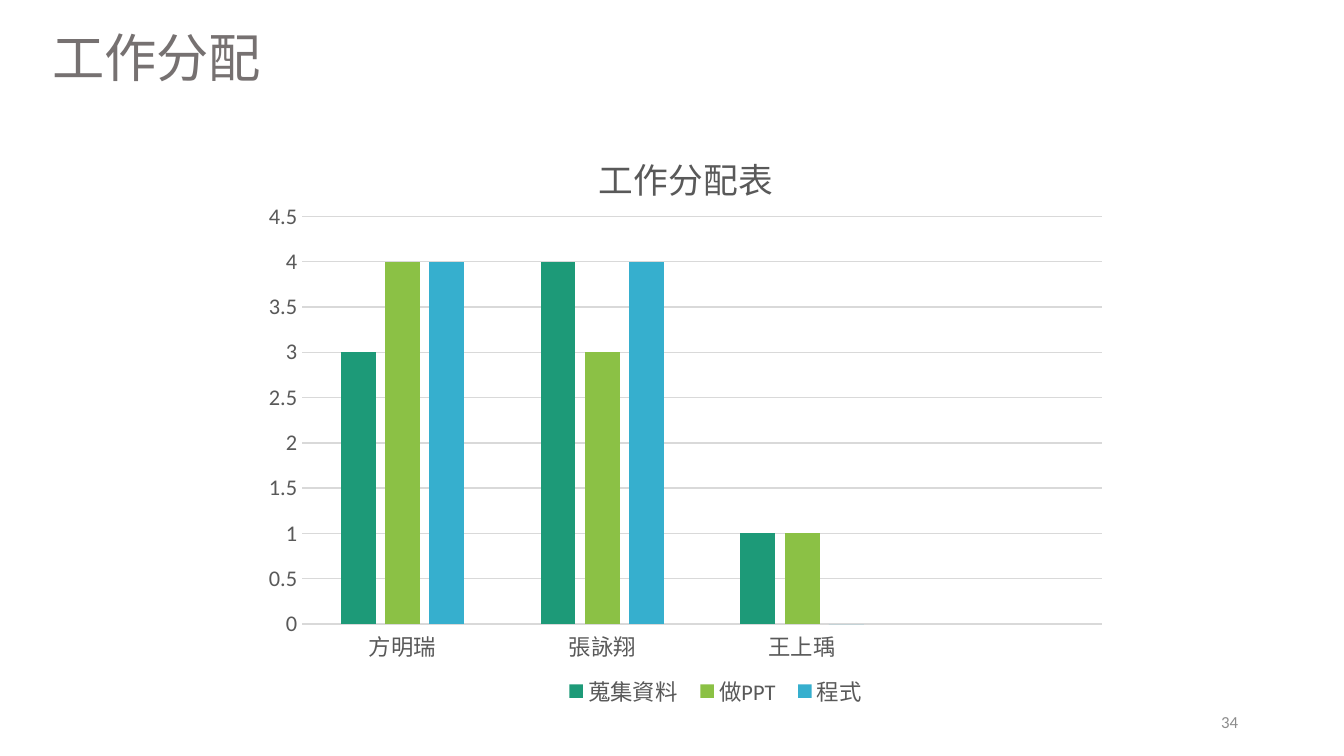
from lxml import etree
from pptx import Presentation
from pptx.chart.data import CategoryChartData
from pptx.dml.color import RGBColor
from pptx.enum.chart import XL_CHART_TYPE, XL_LEGEND_POSITION, XL_TICK_MARK
from pptx.enum.text import MSO_ANCHOR, PP_ALIGN
from pptx.oxml.ns import qn
from pptx.util import Inches, Pt

COLUMNS = XL_CHART_TYPE.COLUMN_CLUSTERED
BOTTOM = XL_LEGEND_POSITION.BOTTOM
NO_TICK = XL_TICK_MARK.NONE
LEFT, RIGHT = PP_ALIGN.LEFT, PP_ALIGN.RIGHT
TOP, MIDDLE = MSO_ANCHOR.TOP, MSO_ANCHOR.MIDDLE

LATIN, CJK = "Calibri", "Noto Sans CJK SC"
COLORS = {
    "title": "767171",
    "number": "8C8C8C",
    "label": "595959",
    "grid": "D9D9D9",
    "green": "1D9A78",
    "lime": "8BC145",
    "blue": "36AFCE",
}

PEOPLE = ["方明瑞", "張詠翔", "王上瑀", ""]  # the last slot is left empty
TASKS = [
    ("蒐集資料", (3, 4, 1, None), "green"),
    ("做PPT", (4, 3, 1, None), "lime"),
    ("程式", (4, 4, 0, None), "blue"),
]
PLOT_AREA = (0.072, 0.155, 0.892, 0.682)
LEGEND_AREA = (0.353, 0.914, 0.36, 0.07)


class SlideBuilder:
    def __init__(self, prs):
        self.s = prs.slides.add_slide(prs.slide_layouts[6])

    def color(self, name):
        return RGBColor.from_string(COLORS[name])

    def style_font(self, font, size, color, name=LATIN):
        font.size = Pt(size)
        font.bold = False
        font.name = name
        font.color.rgb = self.color(color)

    def style_line(self, line):
        line.color.rgb = self.color("grid")
        line.width = Pt(0.75)

    def text(self, box, text, size, color, font=LATIN, align=LEFT, anchor=TOP):
        tf = self.s.shapes.add_textbox(*map(Inches, box)).text_frame
        tf.word_wrap = True
        tf.vertical_anchor = anchor
        p = tf.paragraphs[0]
        p.alignment = align
        r = p.add_run()
        r.text = text
        self.style_font(r.font, size, color, font)
        if font == CJK:
            ea = etree.SubElement(r.font._element, qn("a:ea"))
            ea.set("typeface", font)

    def column_chart(self, box, title, categories, series):
        data = CategoryChartData()
        data.categories = categories
        for name, values, _ in series:
            data.add_series(name, values)
        chart = self.s.shapes.add_chart(COLUMNS, *map(Inches, box), data).chart
        self.style_font(chart.font, 12, "label")

        chart.has_title = True
        r = chart.chart_title.text_frame.paragraphs[0].add_run()
        r.text = title
        self.style_font(r.font, 18.6, "label")
        chart.chart_title.include_in_layout = False

        chart.has_legend = True
        chart.legend.position = BOTTOM
        chart.legend.include_in_layout = False
        self.style_font(chart.legend.font, 12, "label")

        for axis in (chart.category_axis, chart.value_axis):
            axis.major_tick_mark = axis.minor_tick_mark = NO_TICK
            self.style_font(axis.tick_labels.font, 12, "label")
        self.style_line(chart.category_axis.format.line)
        axis = chart.value_axis
        axis.minimum_scale, axis.maximum_scale, axis.major_unit = 0, 4.5, 0.5
        axis.format.line.fill.background()
        self.style_line(axis.major_gridlines.format.line)

        plot = chart.plots[0]
        plot.gap_width, plot.overlap = 219, -27
        plot.vary_by_categories = False
        for bars, (_, _, color) in zip(plot.series, series):
            bars.format.fill.solid()
            bars.format.fill.fore_color.rgb = self.color(color)

        space = chart._chartSpace
        self.drop_blank_categories(space)
        self.place(space.find(".//" + qn("c:plotArea")), 0, PLOT_AREA, inner=True)
        self.place(space.find(".//" + qn("c:legend")), 1, LEGEND_AREA)

    def drop_blank_categories(self, space):
        """Leave unnamed categories as slots without a label."""
        for cat in space.iter(qn("c:cat")):
            for pt in list(cat.iter(qn("c:pt"))):
                if not pt.findtext(qn("c:v")):
                    pt.getparent().remove(pt)

    def place(self, part, index, area, inner=False):
        """Fix a chart part at fractions of the chart's size."""
        layout = part.find(qn("c:layout"))
        if layout is None:
            layout = etree.Element(qn("c:layout"))
            part.insert(index, layout)
        manual = etree.SubElement(layout, qn("c:manualLayout"))
        settings = {"layoutTarget": "inner"} if inner else {}
        settings.update(xMode="edge", yMode="edge", **dict(zip("xywh", area)))
        for tag, value in settings.items():
            etree.SubElement(manual, qn("c:" + tag)).set("val", str(value))


def main():
    prs = Presentation()
    prs.slide_width, prs.slide_height = Inches(10), Inches(10 * 9 / 16)
    slide = SlideBuilder(prs)
    slide.text((7.06, 5.22, 2.25, 0.3), "34", 9, "number", align=RIGHT, anchor=MIDDLE)
    slide.text((0.29, 0.14, 5.93, 0.57), "工作分配", 28, "title", CJK)
    slide.column_chart((1.77, 0.92, 6.67, 4.45), "工作分配表", PEOPLE, TASKS)
    prs.save("out.pptx")


if __name__ == "__main__":
    main()
